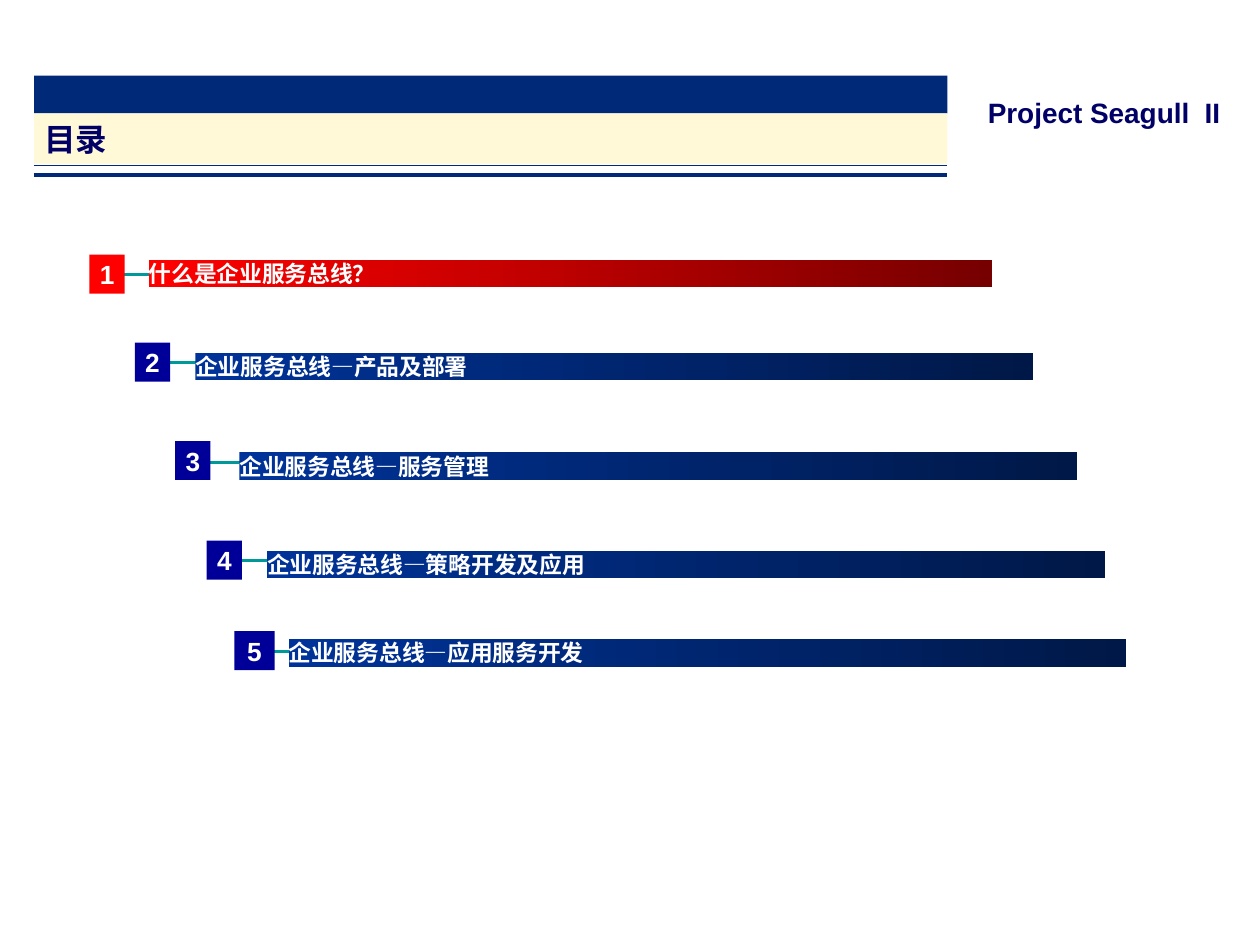
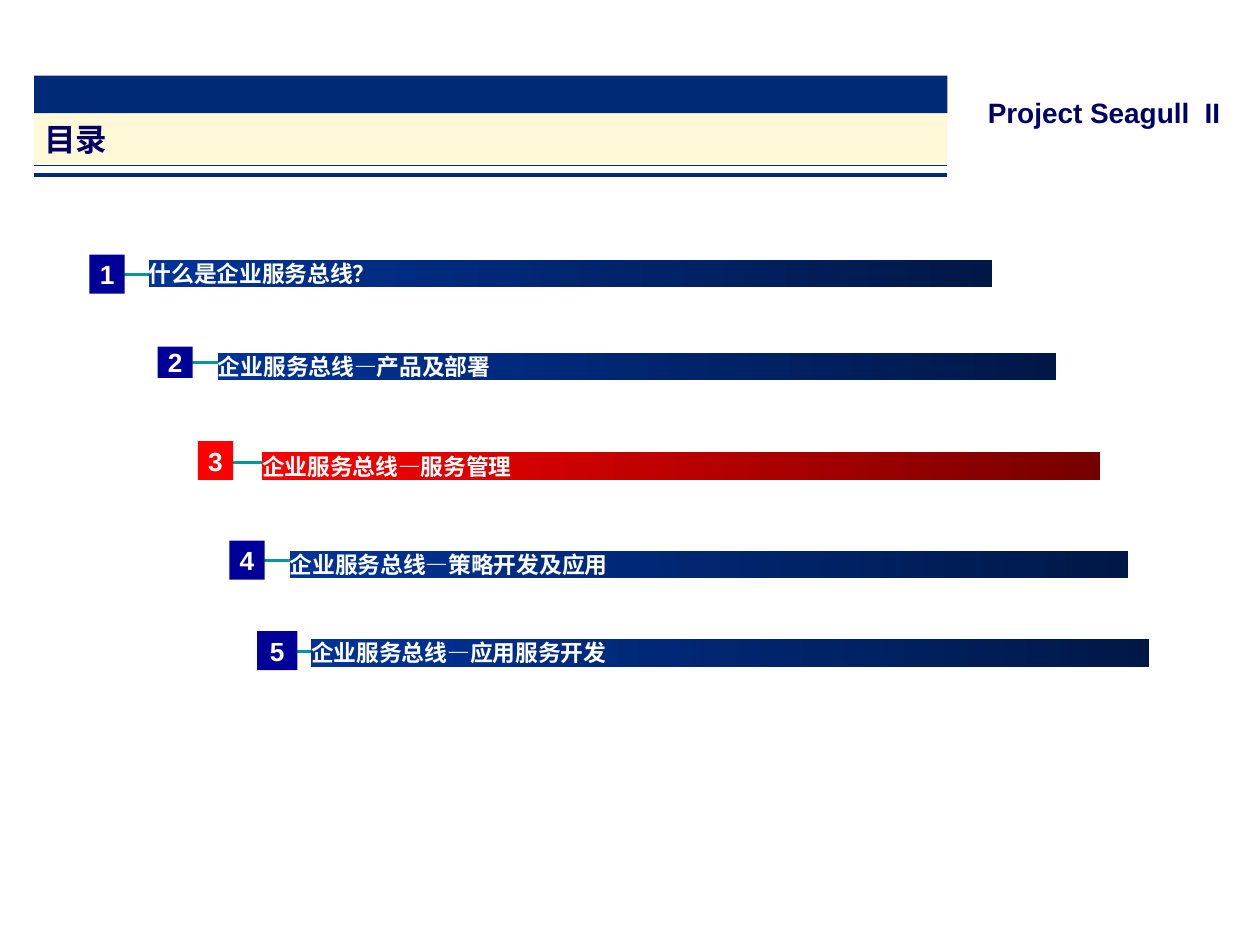
from lxml import etree
from pptx import Presentation
from pptx.dml.color import RGBColor
from pptx.enum.shapes import MSO_CONNECTOR, MSO_SHAPE
from pptx.enum.text import MSO_ANCHOR, MSO_AUTO_SIZE, PP_ALIGN
from pptx.oxml.ns import qn
from pptx.util import Inches, Pt

NAVY = RGBColor(0x00, 0x29, 0x78)
CREAM = RGBColor(0xFF, 0xF9, 0xD7)
INK = RGBColor(0x00, 0x00, 0x66)
TEAL = RGBColor(0x00, 0x99, 0x99)
WHITE = RGBColor(0xFF, 0xFF, 0xFF)
BADGE_BLUE = RGBColor(0x00, 0x00, 0x99)
RED = RGBColor(0xFF, 0x00, 0x00)
BLUE_FADE = (RGBColor(0x00, 0x33, 0x99), RGBColor(0x00, 0x18, 0x47))
RED_FADE = (RED, RGBColor(0x76, 0x00, 0x00))

BAND_LEFT, BAND_WIDTH = 0.27, 7.25
LINE_LENGTH = 6.94
SHIFT = 0.18  # indent added to chapters 2-5 on the second page

# Title, badge (left, top, width), line (left, y), bar (left, top, width)
CHAPTERS = [
    ("什么是企业服务总线？", (0.71, 2.02, 0.28), (0.86, 2.18), (1.18, 2.06, 6.69)),
    ("企业服务总线—产品及部署", (1.07, 2.72, 0.28), (1.23, 2.88), (1.55, 2.8, 6.65)),
    ("企业服务总线—服务管理", (1.39, 3.5, 0.28), (1.54, 3.67), (1.9, 3.59, 6.65)),
    ("企业服务总线—策略开发及应用", (1.64, 4.29, 0.28), (1.8, 4.45), (2.12, 4.37, 6.65)),
    ("企业服务总线—应用服务开发", (1.86, 5.01, 0.32), (1.94, 5.17), (2.29, 5.07, 6.65)),
]


def add_box(page, left, top, width, height, fill=None, text="", size=13,
            color=WHITE, align=PP_ALIGN.LEFT, inset=0, wrap=False,
            anchor=MSO_ANCHOR.MIDDLE):
    """Rectangle with a solid fill, a two-colour fade or no fill."""
    box = page.shapes.add_shape(MSO_SHAPE.RECTANGLE, Inches(left), Inches(top),
                                Inches(width), Inches(height))
    box.shadow.inherit = False
    box.line.fill.background()
    if fill is None:
        box.fill.background()
    elif fill in (BLUE_FADE, RED_FADE):
        box.fill.gradient()
        box.fill.gradient_angle = 0
        for stop, shade in zip(box.fill.gradient_stops, fill):
            stop.color.rgb = shade
    else:
        box.fill.solid()
        box.fill.fore_color.rgb = fill
    if text:
        frame = box.text_frame
        frame.margin_left = Inches(inset)
        frame.margin_top = frame.margin_right = frame.margin_bottom = 0
        frame.word_wrap = wrap
        frame.vertical_anchor = anchor
        para = frame.paragraphs[0]
        para.alignment = align
        span = para.add_run()
        span.text = text
        span.font.name = "Arial"
        span.font.size = Pt(size)
        span.font.bold = True
        span.font.color.rgb = color
    return box


def add_line(page, left, y, length, color, weight):
    line = page.shapes.add_connector(MSO_CONNECTOR.STRAIGHT, Inches(left), Inches(y),
                                     Inches(left + length), Inches(y))
    line.line.color.rgb = color
    line.line.width = Pt(weight)
    etree.SubElement(line._element.spPr, qn("a:effectLst"))


deck = Presentation()
deck.slide_width, deck.slide_height = Inches(10), Inches(7.5)

for current, shift in ((1, 0), (3, SHIFT)):
    page = deck.slides.add_slide(deck.slide_layouts[6])

    # Header: project name, title bands and rules
    add_box(page, 7.84, 0.76, 1.97, 0.31, text="Project Seagull  II", size=16,
            color=INK, anchor=MSO_ANCHOR.TOP)
    add_box(page, BAND_LEFT, 0.6, BAND_WIDTH, 0.3, NAVY)
    add_box(page, BAND_LEFT, 0.9, BAND_WIDTH, 0.4, CREAM, "目录", 18, INK, inset=0.08)
    add_line(page, BAND_LEFT, 1.31, BAND_WIDTH, NAVY, 0.25)
    add_line(page, BAND_LEFT, 1.39, BAND_WIDTH, NAVY, 2)

    # Chapters, the current one in red
    for number, (title, badge, line, bar) in enumerate(CHAPTERS, 1):
        indent = shift if number > 1 else 0
        active = number == current
        left, top, width = badge
        height = 0.31
        if number == 2 and shift:  # this badge is shorter on the second page
            top, height = 2.75, 0.25
        add_line(page, line[0] + indent, line[1], LINE_LENGTH, TEAL, 1.75)
        add_box(page, left + indent, top, width, height, RED if active else BADGE_BLUE,
                str(number), 15, align=PP_ALIGN.CENTER)
        left, top, width = bar
        title_bar = add_box(page, left + indent, top, width, 0.22,
                            RED_FADE if active else BLUE_FADE, title, wrap=True)
        title_bar.text_frame.auto_size = MSO_AUTO_SIZE.SHAPE_TO_FIT_TEXT

deck.save("out.pptx")
